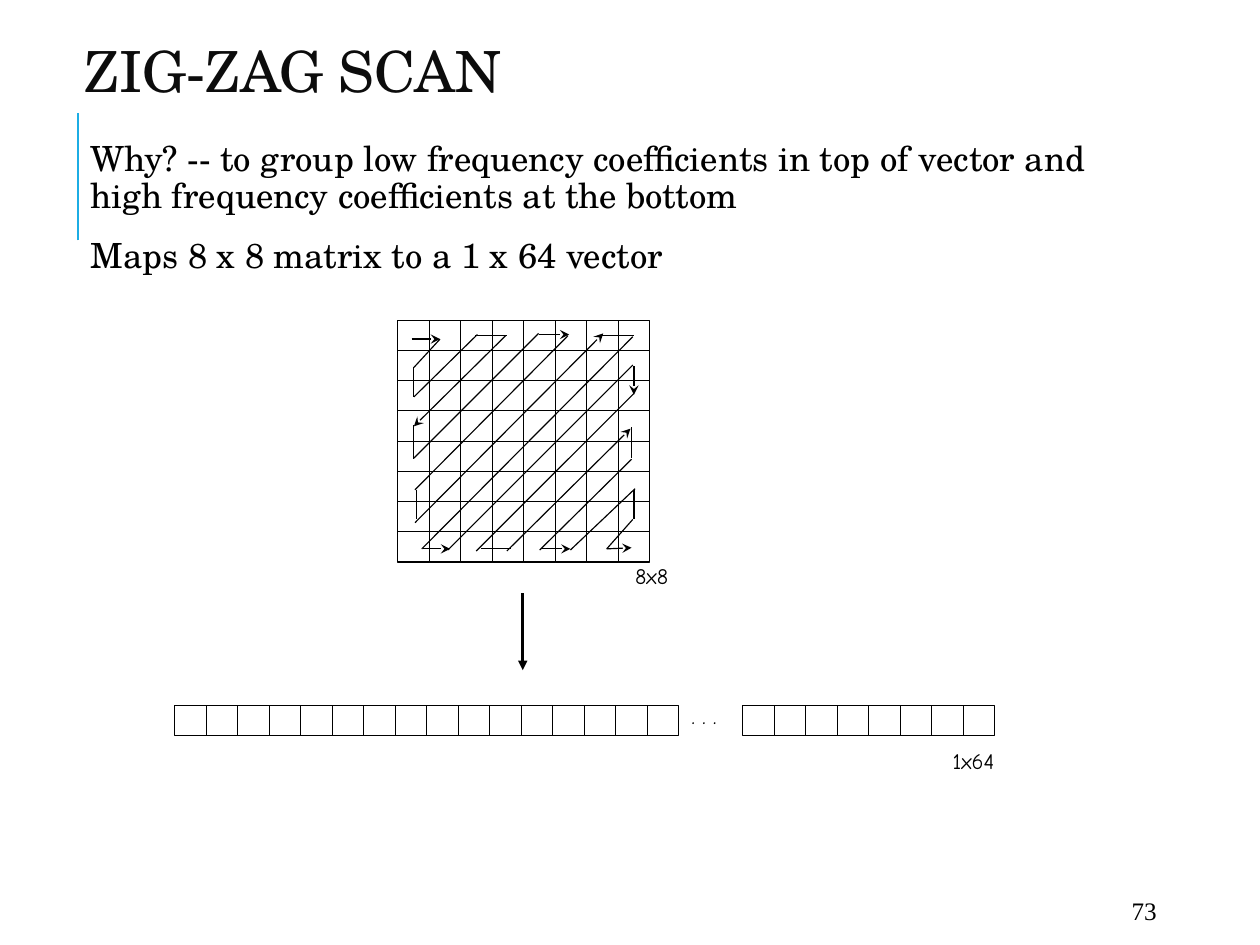
from lxml.etree import SubElement
from pptx import Presentation
from pptx.dml.color import RGBColor
from pptx.enum.shapes import MSO_CONNECTOR, MSO_SHAPE
from pptx.enum.text import MSO_ANCHOR
from pptx.oxml.ns import qn
from pptx.util import Pt

SERIF = "TeX Gyre Schola"
HAND = "Comic Neue"
CELL_W, CELL_H = 20, 19.2

PLAIN = [
    (279.4, 215.3, 262.8, 233.3),
    (262.8, 233.3, 262.8, 252),
    (262.8, 252, 303.1, 212.4),
    (301.7, 213.1, 321.8, 213.1),
    (262.8, 270, 262.8, 291.6),
    (342, 211.7, 262.8, 290.9),
    (360.7, 213.1, 263.5, 311),
    (264.2, 311, 264.2, 329.8),
    (382.3, 213.1, 402.5, 213.1),
    (401.8, 213.8, 267.8, 348.5),
    (401.8, 231.8, 284.4, 349.2),
    (402.5, 249.8, 302.4, 349.9),
    (305.3, 348.5, 324.7, 348.5),
    (401, 271.4, 401, 290.9),
    (401, 291.6, 342.7, 349.2),
    (362.2, 349.2, 403.2, 310.3),
    (402.5, 311, 402.5, 329.8),
    (401.8, 329.8, 385.2, 348.5),
]
ARROWS = [
    (261.4, 215.3, 279.4, 215.3),
    (321.1, 213.1, 262.8, 270.7),
    (342, 212.4, 361.4, 212.4),
    (263.5, 331.9, 383, 211.7),
    (268.6, 348.5, 285.8, 348.5),
    (402.5, 232.6, 402.5, 250.6),
    (321.8, 349.9, 400.3, 272.2),
    (344.2, 348.5, 362.2, 348.5),
    (385.2, 348.5, 401, 347.8),
]


def paint(hue):
    return RGBColor.from_string(hue)


def add_line(slide, ends, width=0.75, tip=None, hue="000000"):
    line = slide.shapes.add_connector(
        MSO_CONNECTOR.STRAIGHT, *[Pt(end) for end in ends])
    line.line.color.rgb = paint(hue)
    line.line.width = Pt(width)
    if tip:
        SubElement(line.line._get_or_add_ln(), qn("a:tailEnd"), type=tip)
    SubElement(line._element.spPr, qn("a:effectLst"))


def add_cells(slide, left, top, cols, rows=1):
    for row in range(rows):
        for col in range(cols):
            cell = slide.shapes.add_shape(
                MSO_SHAPE.RECTANGLE,
                Pt(left + col * CELL_W), Pt(top + row * CELL_H),
                Pt(CELL_W), Pt(CELL_H))
            cell.shadow.inherit = False
            cell.fill.background()
            cell.line.color.rgb = paint("000000")
            cell.line.width = Pt(0.75)


def add_text(slide, area, lines, size, font, pads, hue="000000",
             anchor=MSO_ANCHOR.TOP, pitch=1.0, gap=0):
    box = slide.shapes.add_textbox(*[Pt(side) for side in area])
    frame = box.text_frame
    frame.word_wrap = True
    frame.vertical_anchor = anchor
    frame.margin_left, frame.margin_top, frame.margin_right, \
        frame.margin_bottom = [Pt(pad) for pad in pads]
    for rank, words in enumerate(lines):
        para = frame.add_paragraph() if rank else frame.paragraphs[0]
        para.line_spacing = pitch
        para.space_before = Pt(gap if rank else 0)
        run = para.add_run()
        run.text = words
        run.font.size = Pt(size)
        run.font.name = font
        run.font.color.rgb = paint(hue)


def add_label(slide, left, top, width, words):
    add_text(slide, (left, top, width, 25.2), [words], 14, HAND,
             (7.9, 4.3, 7.9, 4.3))


def main():
    deck = Presentation()
    deck.slide_width, deck.slide_height = Pt(800), Pt(600)
    slide = deck.slides.add_slide(deck.slide_layouts[6])

    add_line(slide, (49.7, 152.6, 49.7, 72), 1.5, hue="1CADE4")
    wide = (7.2, 3.6, 7.2, 3.6)
    add_text(slide, (711.4, 565.9, 64, 23.8), ["73"], 16, "Times New Roman",
             wide, anchor=MSO_ANCHOR.MIDDLE)
    add_text(slide, (46.8, 20.2, 679.7, 56.2), ["ZIG-ZAG SCAN"], 36, SERIF,
             wide, "0C0C0C", MSO_ANCHOR.MIDDLE, 0.8)
    add_text(slide, (46.8, 86.4, 697, 105), [
        "Why? -- to group low frequency coefficients in top of vector and "
        "high frequency coefficients at the bottom",
        "Maps 8 x 8 matrix to a 1 x 64 vector",
    ], 22, SERIF, (10.8, 3.6, 3.6, 3.6), pitch=0.9, gap=14)

    add_cells(slide, 252.5, 203.3, 8, 8)
    add_label(slide, 395.3, 352.8, 41.8, "8x8")
    for ends in PLAIN:
        add_line(slide, ends)
    for ends in ARROWS:
        add_line(slide, ends, tip="stealth")

    add_line(slide, (331.9, 376.6, 331.9, 425.5), 2, "triangle")
    add_cells(slide, 110.9, 447.8, 16)
    add_label(slide, 431.3, 441.4, 35.3, ". . .")
    add_cells(slide, 471.6, 447.8, 8)
    add_label(slide, 596.9, 470.2, 48.2, "1x64")

    deck.save("out.pptx")


if __name__ == "__main__":
    main()
